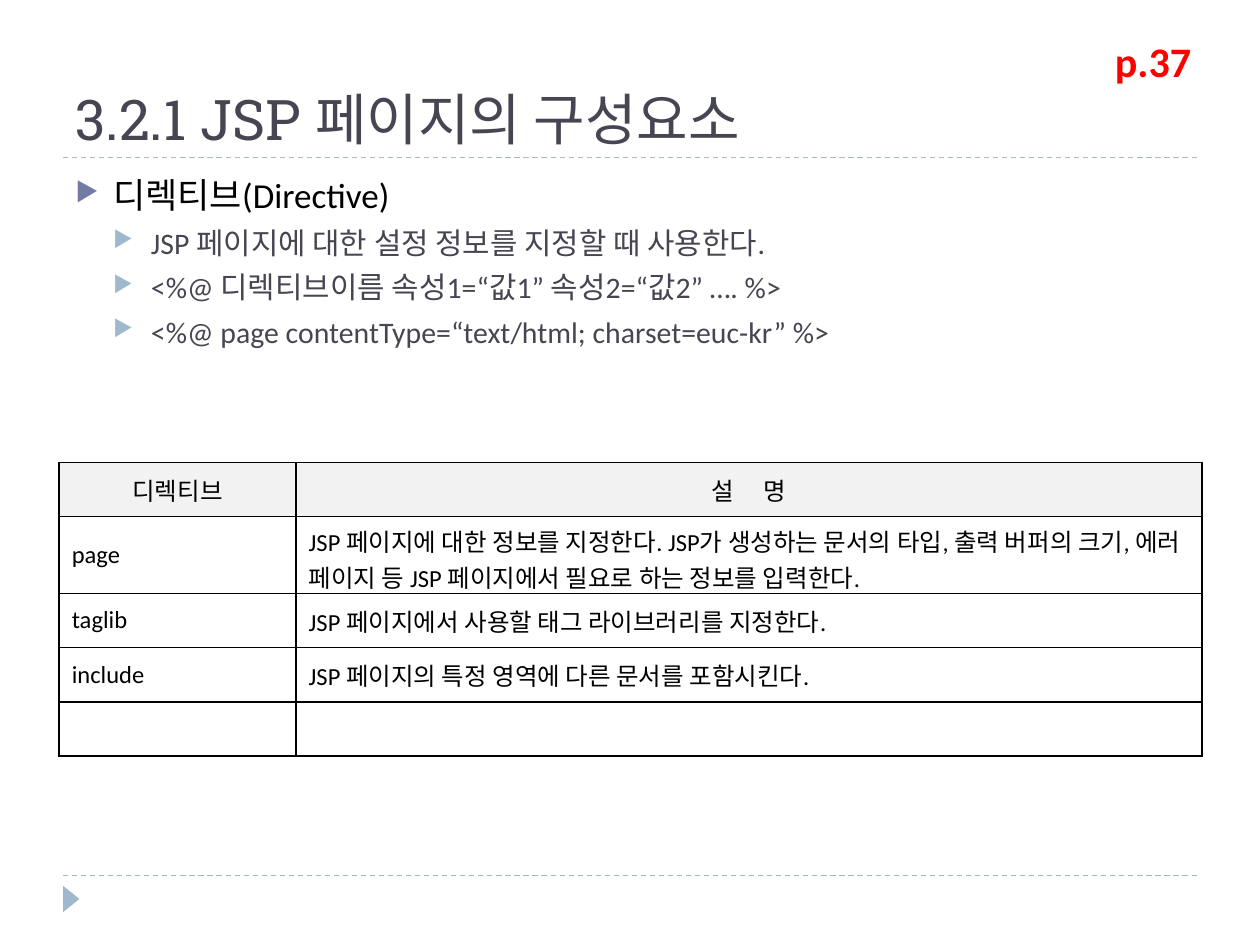
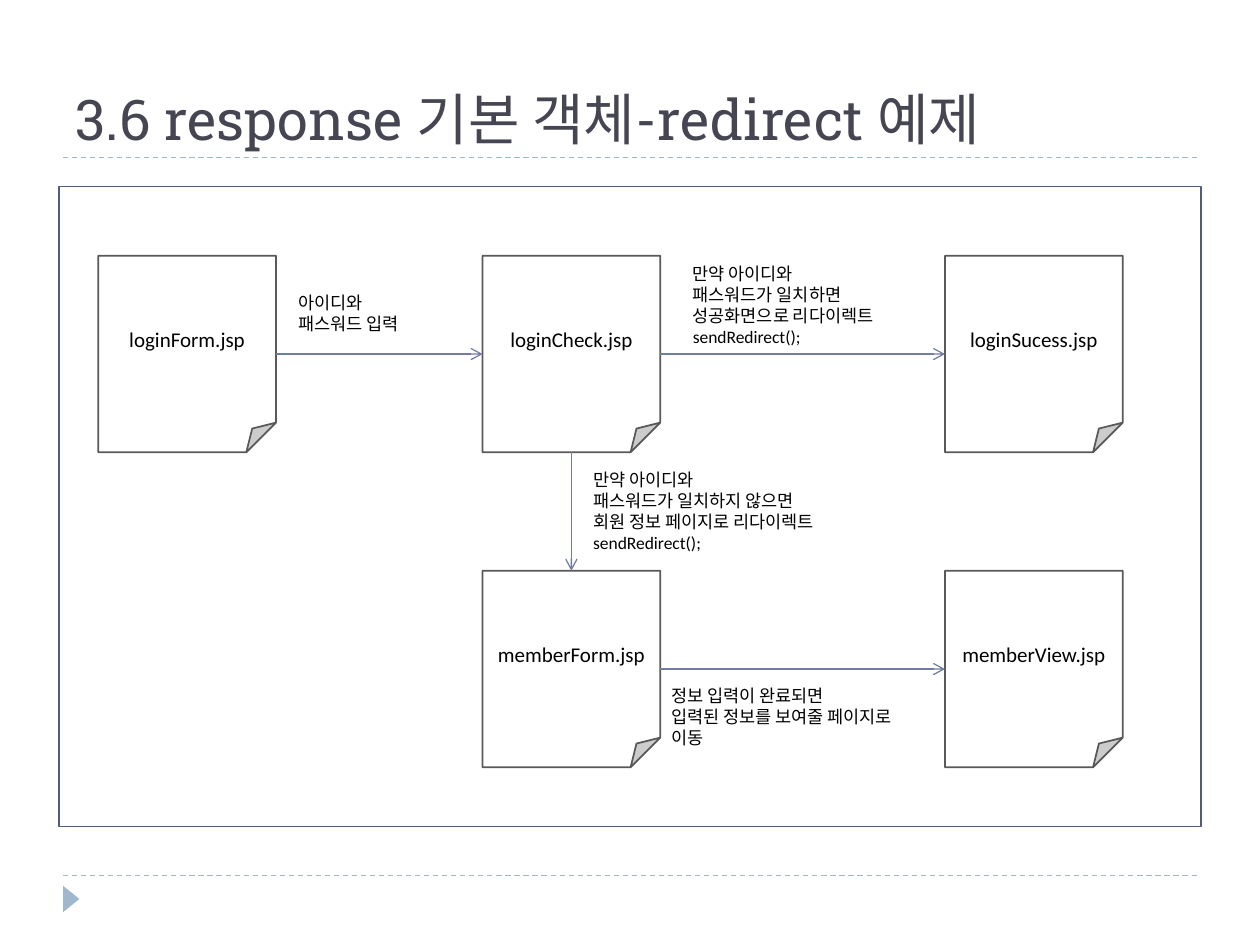
from lxml.etree import SubElement
from pptx import Presentation
from pptx.dml.color import RGBColor
from pptx.enum.dml import MSO_LINE
from pptx.enum.shapes import MSO_CONNECTOR, MSO_SHAPE
from pptx.enum.text import MSO_ANCHOR, MSO_AUTO_SIZE, PP_ALIGN
from pptx.oxml.ns import qn
from pptx.util import Inches, Pt

COLORS = {
    "ink": "000000", "title": "464653", "sky": "9FB8CD", "blue": "727CA3",
    "frame": "545C79", "edge": "595959", "head": "F2F2F2",
    "paper": "FFFFFF", "red": "FF0000",
}
BODY, SLAB = "Calibri", "Roboto Slab"

TITLES = ["3.2.1 JSP 페이지의 구성요소", "3.6 response 기본 객체-redirect 예제"]
PAGE = "p.37"
POINTS = [
    (0, "디렉티브(Directive)"),
    (1, "JSP 페이지에 대한 설정 정보를 지정할 때 사용한다."),
    (1, "<%@ 디렉티브이름 속성1=“값1” 속성2=“값2” …. %>"),
    (1, "<%@ page contentType=“text/html; charset=euc-kr” %>"),
]
# size, space before, text colour, bullet colour
LEVELS = [(20, 6, "ink", "blue"), (17, 5, "title", "sky")]

ROWS = [
    ("디렉티브", "설 명"),
    ("page", "JSP 페이지에 대한 정보를 지정한다. JSP가 생성하는 문서의 타입, "
             "출력 버퍼의 크기, 에러 페이지 등 JSP 페이지에서 필요로 하는 정보를 입력한다."),
    ("taglib", "JSP 페이지에서 사용할 태그 라이브러리를 지정한다."),
    ("include", "JSP 페이지의 특정 영역에 다른 문서를 포함시킨다."),
    ("", ""),
]
WIDTHS = [1.88, 7.19]
HEIGHTS = [0.43, 0.61, 0.43, 0.43, 0.43]

LEFTS, TOPS = [0.78, 3.83, 7.5], [2.03, 4.53]
FILES = {  # name: column, row
    "loginForm": (0, 0), "loginCheck": (1, 0), "loginSucess": (2, 0),
    "memberForm": (1, 1), "memberView": (2, 1),
}
TOP, LEFT, BOTTOM, RIGHT = range(4)  # connection sites
ARROWS = [
    ("loginForm", RIGHT, "loginCheck", LEFT),
    ("loginCheck", RIGHT, "loginSucess", LEFT),
    ("loginCheck", BOTTOM, "memberForm", TOP),
    ("memberForm", RIGHT, "memberView", LEFT),
]
NOTES = [
    ((2.27, 2.27, 1.08, 0.44), ["아이디와", "패스워드 입력"]),
    ((5.4, 2.04, 1.78, 0.77),
     ["만약 아이디와", "패스워드가 일치하면", "성공화면으로 리다이렉트", "sendRedirect();"]),
    ((4.61, 3.67, 2.14, 0.77),
     ["만약 아이디와", "패스워드가 일치하지 않으면", "회원 정보 페이지로 리다이렉트",
      "sendRedirect();"]),
    ((5.23, 5.39, 2.14, 0.61),
     ["정보 입력이 완료되면", "입력된 정보를 보여줄 페이지로", "이동"]),
]


def rgb(name):
    return RGBColor.from_string(COLORS[name])


def style(para, size, color="ink", face=BODY, bold=False):
    font = para.font
    font.size, font.name, font.bold = Pt(size), face, bold
    font.color.rgb = rgb(color)


def add_text(slide, box, lines, wrap=True):
    """Add a text box and return its frame and paragraphs."""
    frame = slide.shapes.add_textbox(*map(Inches, box)).text_frame
    frame.word_wrap = wrap
    frame.text = "\n".join(lines)
    return frame, frame.paragraphs


def add_shape(slide, kind, box, fill=None, line=None):
    shape = slide.shapes.add_shape(kind, *map(Inches, box))
    shape.shadow.inherit = False
    if fill:
        shape.fill.solid()
        shape.fill.fore_color.rgb = rgb(fill)
    else:
        shape.fill.background()
    if line:
        shape.line.color.rgb = rgb(line)
        shape.line.width = Pt(1)
    else:
        shape.line.fill.background()
    return shape


def add_line(slide, ends, color):
    line = slide.shapes.add_connector(MSO_CONNECTOR.STRAIGHT, *map(Inches, ends))
    line.line.color.rgb = rgb(color)
    line.line.width = Pt(0.75)
    SubElement(line._element.spPr, qn("a:effectLst"))
    return line


def add_base(deck, title):
    """Add a slide with the shared rules, corner mark and title."""
    slide = deck.slides.add_slide(deck.slide_layouts[6])
    for y in (6.95, 1.25):
        add_line(slide, (0.5, y, 9.5, y), "sky").line.dash_style = MSO_LINE.DASH
    mark = add_shape(slide, MSO_SHAPE.ISOSCELES_TRIANGLE, (0.46, 7.07, 0.21, 0.13), "sky")
    mark.rotation = 90
    frame, paras = add_text(slide, (0.5, 0.17, 9, 1.08), [title])
    frame.vertical_anchor = MSO_ANCHOR.BOTTOM
    style(paras[0], 32, "title", SLAB)
    return slide


def indent(para, left, hang):
    props = para._p.get_or_add_pPr()
    props.set("marL", str(Inches(left)))
    props.set("indent", str(-Inches(hang)))
    return props


def add_points(slide):
    paras = add_text(slide, (0.5, 1.33, 9, 5.4), [text for _, text in POINTS])[1]
    for i, (para, (level, _)) in enumerate(zip(paras, POINTS)):
        size, gap, color, dot = LEVELS[level]
        para.level = level
        para.space_before = Pt(gap if i else 0)
        props = indent(para, 0.3 * (level + 1), 0.3)
        tint = SubElement(props, qn("a:buClr"))
        SubElement(tint, qn("a:srgbClr"), val=COLORS[dot])
        SubElement(props, qn("a:buSzPct"), val="76000")
        SubElement(props, qn("a:buChar"), char="▶")
        style(para, size, color)


def add_border(cell):
    props = cell._tc.get_or_add_tcPr()
    for side in "LRTB":
        edge = SubElement(props, qn("a:ln" + side), w=str(Pt(1)))
        fill = SubElement(edge, qn("a:solidFill"))
        SubElement(fill, qn("a:srgbClr"), val=COLORS["ink"])


def add_grid(slide):
    box = (0.47, 3.67, sum(WIDTHS), sum(HEIGHTS))
    table = slide.shapes.add_table(len(ROWS), len(WIDTHS), *map(Inches, box)).table
    for col, width in zip(table.columns, WIDTHS):
        col.width = Inches(width)
    for r, (texts, height) in enumerate(zip(ROWS, HEIGHTS)):
        table.rows[r].height = Inches(height)
        for c, text in enumerate(texts):
            cell = table.cell(r, c)
            cell.text = text
            cell.vertical_anchor = MSO_ANCHOR.MIDDLE
            add_border(cell)
            para = cell.text_frame.paragraphs[0]
            style(para, 14)
            if r == 0:
                cell.fill.solid()
                cell.fill.fore_color.rgb = rgb("head")
                para.alignment = PP_ALIGN.CENTER
            else:
                cell.fill.background()
    # Spread the two letters of the second heading
    spread = table.cell(0, 1).text_frame.paragraphs[0].runs[0]
    spread._r.get_or_add_rPr().set("spc", "700")


def add_flow(slide):
    cards = {}
    for name, (col, row) in FILES.items():
        box = (LEFTS[col], TOPS[row], 1.41, 1.56)
        card = add_shape(slide, MSO_SHAPE.FOLDED_CORNER, box, "paper", "edge")
        card.text_frame.text = name + ".jsp"
        card.text_frame.vertical_anchor = MSO_ANCHOR.MIDDLE
        para = card.text_frame.paragraphs[0]
        para.alignment = PP_ALIGN.CENTER
        style(para, 12)
        cards[name] = card
    for start, out, end, into in ARROWS:
        arrow = add_line(slide, (0, 0, 1, 1), "blue")
        arrow.begin_connect(cards[start], out)
        arrow.end_connect(cards[end], into)
        SubElement(arrow.line._get_or_add_ln(), qn("a:tailEnd"), type="arrow")
    for box, lines in NOTES:
        frame, paras = add_text(slide, box, lines, wrap=False)
        frame.auto_size = MSO_AUTO_SIZE.SHAPE_TO_FIT_TEXT
        for para in paras:
            indent(para, 0.25, 0.25)
            style(para, 10)
    add_shape(slide, MSO_SHAPE.RECTANGLE, (0.47, 1.48, 9.06, 5.08), line="frame")


def main():
    deck = Presentation()
    deck.slide_width, deck.slide_height = Inches(10), Inches(7.5)
    first, second = [add_base(deck, title) for title in TITLES]
    add_points(first)
    add_grid(first)
    style(add_text(first, (8.75, 0.23, 1.02, 0.5), [PAGE])[1][0], 24, "red", bold=True)
    add_flow(second)
    deck.save("out.pptx")


if __name__ == "__main__":
    main()
